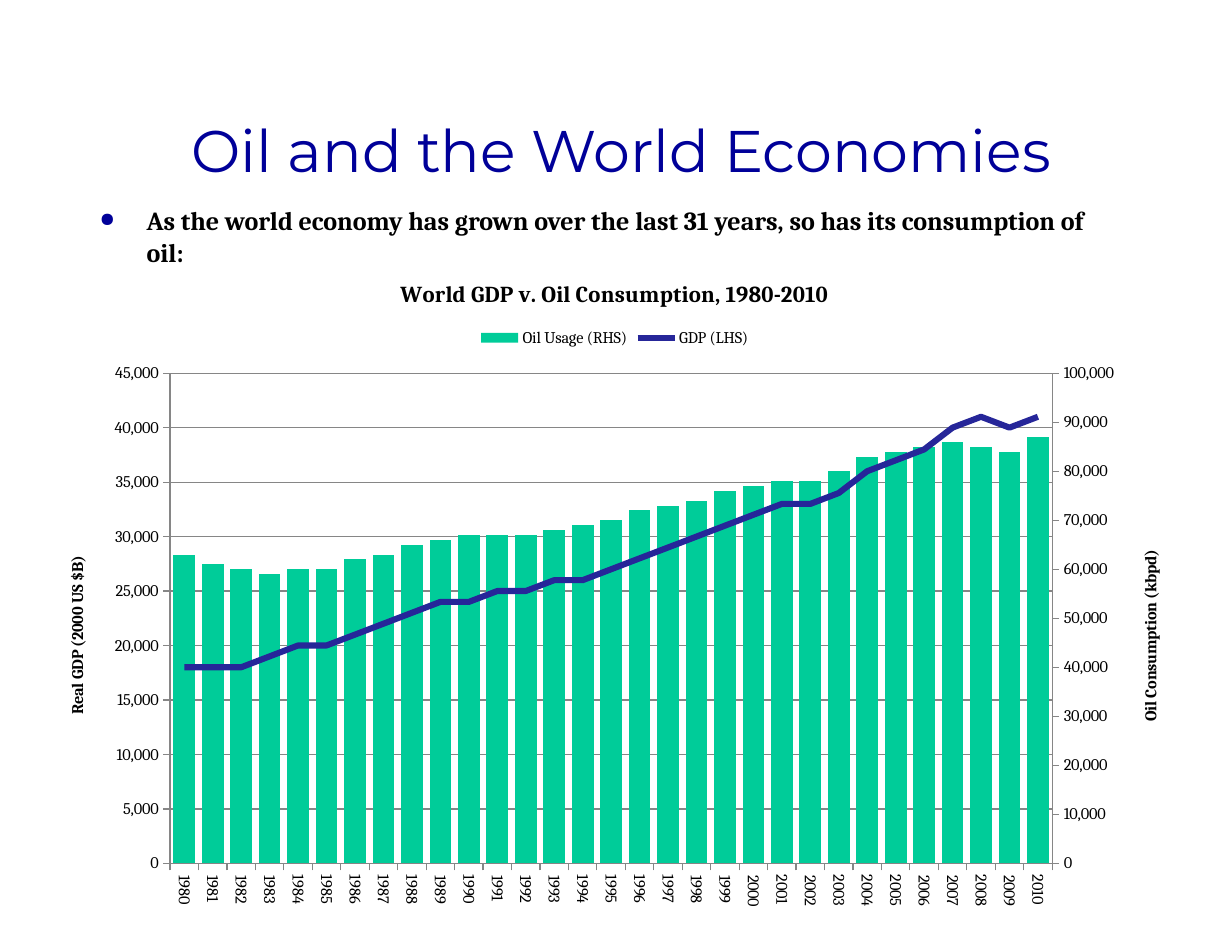
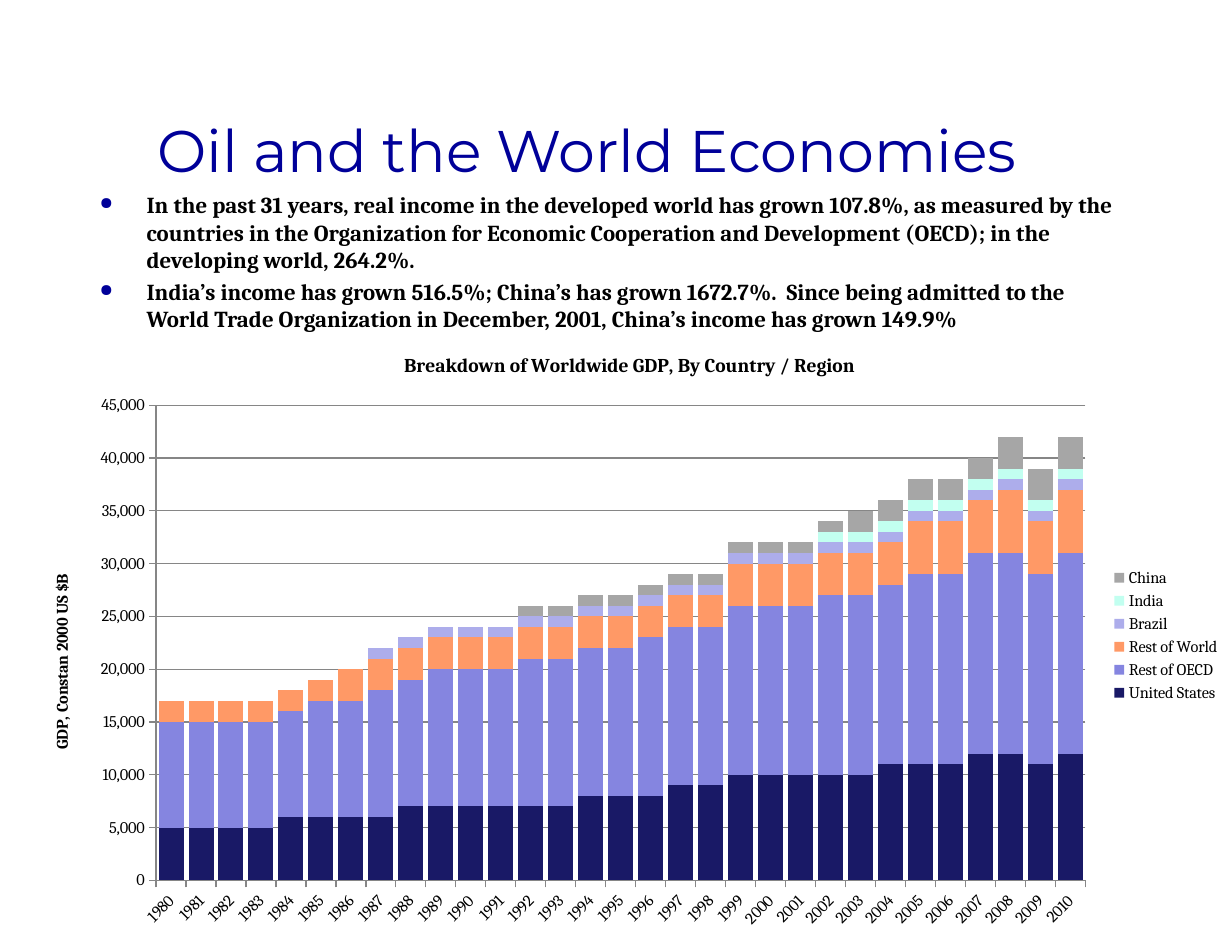
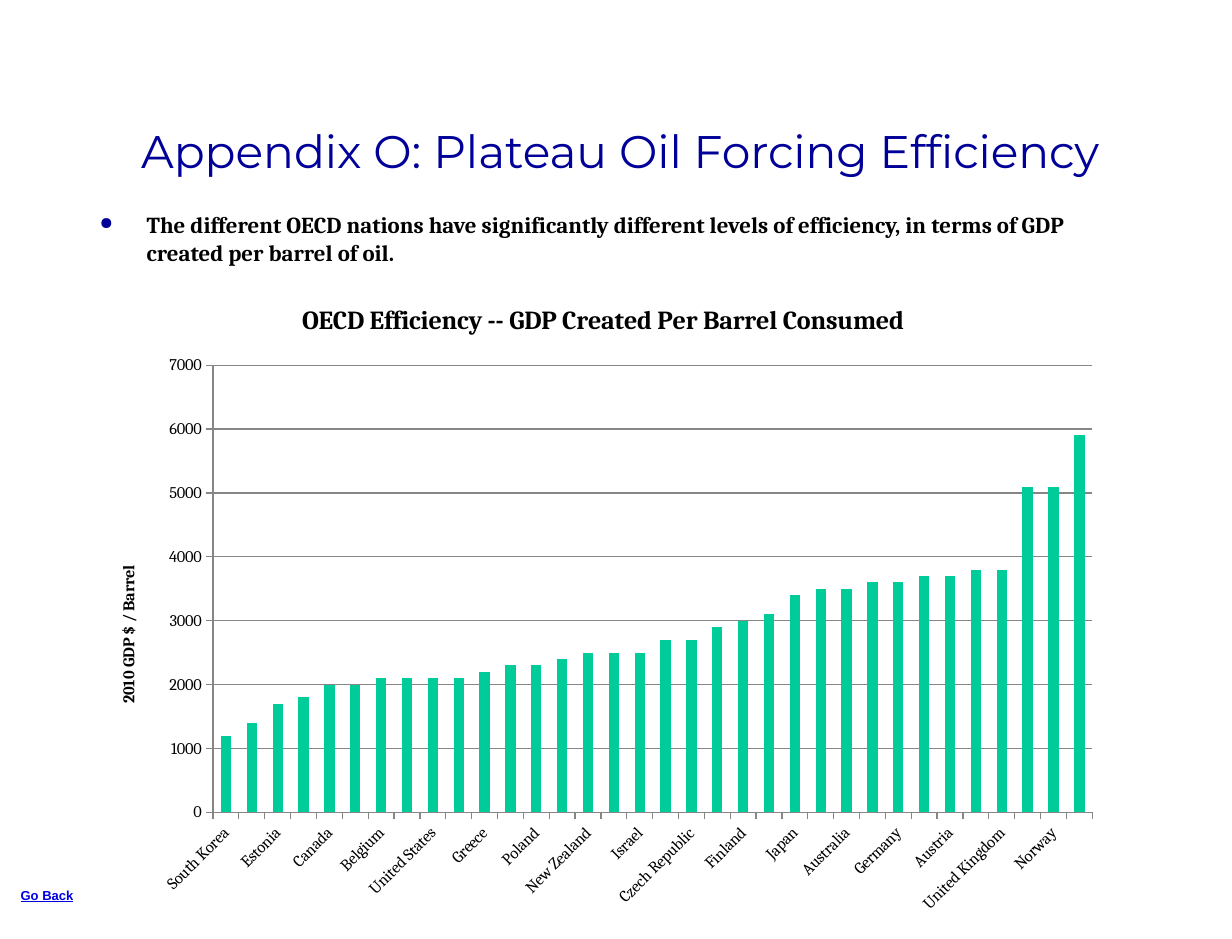
from copy import deepcopy

from lxml import etree
from pptx import Presentation
from pptx import util as u
from pptx.chart import axis as axes
from pptx.chart.data import CategoryChartData
from pptx.dml.color import RGBColor
from pptx.enum import chart as charts, shapes, text
from pptx.oxml import parse_xml
from pptx.oxml.ns import nsdecls, qn

PX = 914400 / 117.3
NAVY, BLACK, WHITE, GREY = "000099", "000000", "FFFFFF", "868686"
GREEN, INDIGO, LINK = "00CC99", "262699", "0000E5"
HEAD, BODY, PLAIN = "Montserrat", "Cambria", "Arial"
YEARS = [str(year) for year in range(1980, 2011)]

OIL = [63, 61, 60, 59, 60, 60, 62, 63, 65, 66, 67, 67, 67, 68, 69, 70,
       72, 73, 74, 76, 77, 78, 78, 80, 83, 84, 85, 86, 85, 84, 87]
GDP = [18, 18, 18, 19, 20, 20, 21, 22, 23, 24, 24, 25, 25, 26, 26, 27,
       28, 29, 30, 31, 32, 33, 33, 34, 36, 37, 38, 40, 41, 40, 41]
REGIONS = [
    ("United States", "191966",
     [5, 5, 5, 5, 6, 6, 6, 6, 7, 7, 7, 7, 7, 7, 8, 8,
      8, 9, 9, 10, 10, 10, 10, 10, 11, 11, 11, 12, 12, 11, 12]),
    ("Rest of OECD", "8585E0",
     [10, 10, 10, 10, 10, 11, 11, 12, 12, 13, 13, 13, 14, 14, 14, 14,
      15, 15, 15, 16, 16, 16, 17, 17, 17, 18, 18, 19, 19, 18, 19]),
    ("Rest of World", "FF9966",
     [2] * 6 + [3] * 13 + [4] * 6 + [5, 5, 5, 6, 5, 6]),
    ("Brazil", "ADADEB", [0] * 7 + [1] * 24),
    ("India", "C2FFF0", [0] * 22 + [1] * 9),
    ("China", "A6A6A6", [0] * 12 + [1] * 11 + [2] * 5 + [3] * 3),
]
NATIONS = {
    "South Korea": 12, "Mexico": 14, "Estonia": 17, "Chile": 18,
    "Canada": 20, "Iceland": 20, "Belgium": 21, "Slovenia": 21,
    "United States": 21, "Netherlands": 21, "Greece": 22, "Portugal": 23,
    "Poland": 23, "Hungary": 24, "New Zealand": 25, "Luxembourg": 25,
    "Israel": 25, "Spain": 27, "Czech Republic": 27, "Slovak Republic": 29,
    "Finland": 30, "Turkey": 31, "Japan": 34, "Ireland": 35,
    "Australia": 35, "Sweden": 36, "Germany": 36, "Italy": 37,
    "Austria": 37, "France": 38, "United Kingdom": 38, "Denmark": 51,
    "Norway": 51, "Switzerland": 59,
}


def px(*nums):
    return [u.Emu(round(n * PX)) for n in nums]


def rgb(code):
    return RGBColor.from_string(code)


def style(font, name, size, color, bold=False):
    font.name, font.size, font.bold = name, u.Pt(size), bold
    font.color.rgb = rgb(color)


def title(slide, words, left, wide, size=36):
    box = slide.shapes.add_shape(shapes.MSO_SHAPE.RECTANGLE,
                                 *px(left, 79, wide, 147))
    box.shadow.inherit = False
    box.fill.solid()
    box.fill.fore_color.rgb = rgb(WHITE)
    box.line.fill.background()
    box.text_frame.vertical_anchor = text.MSO_ANCHOR.MIDDLE
    para = box.text_frame.paragraphs[0]
    para.text = words
    para.alignment = text.PP_ALIGN.CENTER
    para.line_spacing = 0.95
    style(para.font, HEAD, size, NAVY)


def bullets(slide, lines, top, wide, high, size):
    frame = slide.shapes.add_textbox(*px(88, top, wide, high)).text_frame
    frame.word_wrap = True
    for i, line in enumerate(lines):
        para = frame.add_paragraph() if i else frame.paragraphs[0]
        para.text = line
        props = para._p.get_or_add_pPr()
        hang = px(47)[0]
        props.set("marL", str(hang))
        props.set("indent", str(-hang))
        color = etree.SubElement(props, qn("a:buClr"))
        etree.SubElement(color, qn("a:srgbClr")).set("val", NAVY)
        etree.SubElement(props, qn("a:buSzPct")).set("val", "75000")
        etree.SubElement(props, qn("a:buChar")).set("char", "●")
        para.space_before = u.Pt(size * 0.2 if i else 0)
        style(para.font, BODY, size, BLACK, True)


def turn(node, angle):
    """Rotate the text of a chart part by whole degrees."""
    body = next(node.iter(qn("a:bodyPr")))
    body.set("rot", str(angle * 60000))
    body.set("vert", "horz")


def label(part, words, size):
    para = part.text_frame.paragraphs[0]
    para.text = words
    style(para.font, BODY, size, BLACK, True)


def rule(line, color=GREY, size=0.75):
    line.color.rgb = rgb(color)
    line.width = u.Pt(size)


def scale(axis, words, top, step, form="#,##0", grid=True):
    """Set up a value axis."""
    axis.minimum_scale, axis.maximum_scale, axis.major_unit = 0, top, step
    axis.major_tick_mark = charts.XL_TICK_MARK.OUTSIDE
    axis.has_major_gridlines = grid
    if grid:
        rule(axis.major_gridlines.format.line)
    rule(axis.format.line)
    axis.tick_labels.number_format = form
    axis.tick_labels.number_format_is_linked = False
    label(axis.axis_title, words, 10)
    turn(axis.axis_title._element, -90)


def base(axis, angle):
    """Set up a category axis."""
    axis.major_tick_mark = charts.XL_TICK_MARK.OUTSIDE
    axis.has_major_gridlines = False
    rule(axis.format.line)
    axis.tick_labels.font.size = u.Pt(10)
    turn(axis._element.find(qn("c:txPr")), angle)


def place(chart, box, plot):
    """Fix the inner plot area, both boxes given as px on the slide."""
    area = chart._chartSpace.chart.plotArea
    for old in area.findall(qn("c:layout")):
        area.remove(old)
    parts = zip("xywh", ((plot[0] - box[0]) / box[2],
                         (plot[1] - box[1]) / box[3],
                         plot[2] / box[2], plot[3] / box[3]))
    spots = "".join(f'<c:{k} val="{v:.4f}"/>' for k, v in parts)
    area.insert(0, parse_xml(
        f'<c:layout {nsdecls("c")}><c:manualLayout>'
        '<c:layoutTarget val="inner"/><c:xMode val="edge"/>'
        f'<c:yMode val="edge"/>{spots}</c:manualLayout></c:layout>'))


def columns(slide, box, plot, words, size, cats, rows, gap,
            kind="CLUSTERED", legend=None, unit=1000):
    """Add a column chart; rows hold name, colour and values in units."""
    data = CategoryChartData()
    data.categories = cats
    for name, _, vals in rows:
        data.add_series(name, [v * unit for v in vals])
    chart = slide.shapes.add_chart(
        charts.XL_CHART_TYPE[f"COLUMN_{kind}"], *px(*box), data).chart
    style(chart.font, BODY, 10, BLACK)
    chart.has_title = True
    label(chart.chart_title, words, size)
    chart.has_legend = legend is not None
    if legend:
        chart.legend.position = charts.XL_LEGEND_POSITION[legend]
        chart.legend.include_in_layout = False
    bars = chart.plots[0]
    bars.gap_width, bars.vary_by_categories = gap, False
    if kind == "STACKED":
        bars.overlap = 100
    for series, row in zip(bars.series, rows):
        series.format.fill.solid()
        series.format.fill.fore_color.rgb = rgb(row[1])
    place(chart, box, plot)
    return chart


def split(chart, color):
    """Turn the last series into a line with its own axes.

    Return the category and value axes of the bars, then of the line.
    """
    area = chart._chartSpace.chart.plotArea
    bars = area.find(qn("c:barChart"))
    row = bars.findall(qn("c:ser"))[-1]
    for tag in ("c:invertIfNegative", "c:spPr"):
        for node in row.findall(qn(tag)):
            row.remove(node)
    line = parse_xml(
        f'<c:lineChart {nsdecls("c")}><c:grouping val="standard"/>'
        '<c:varyColors val="0"/><c:marker val="1"/>'
        '<c:axId val="501"/><c:axId val="502"/></c:lineChart>')
    line.insert(2, row)
    bars.addnext(line)

    # The line's axes come first, so that they carry the gridlines.
    cat, val = area.find(qn("c:catAx")), area.find(qn("c:valAx"))
    twins = deepcopy(cat), deepcopy(val)
    for twin, own, other in zip(twins, ("501", "502"), ("502", "501")):
        twin.find(qn("c:axId")).set("val", own)
        twin.find(qn("c:crossAx")).set("val", other)
        cat.addprevious(twin)
    val.find(qn("c:axPos")).set("val", "r")
    val.find(qn("c:crosses")).set("val", "max")

    series = chart.plots[1].series[0]
    series.smooth = False
    series.marker.style = charts.XL_MARKER_STYLE.NONE
    rule(series.format.line, color, 3.75)
    return (axes.CategoryAxis(cat), axes.ValueAxis(val),
            axes.CategoryAxis(twins[0]), axes.ValueAxis(twins[1]))


def growth(slide):
    title(slide, "Oil and the World Economies", 59, 1124)
    bullets(slide, ["As the world economy has grown over the last 31 years, "
                    "so has its consumption of oil:"], 199, 1046, 567, 16)
    chart = columns(slide, (42, 255, 1145, 666), (170, 373, 882, 490),
                    "World GDP v. Oil Consumption, 1980-2010", 14, YEARS,
                    [("Oil Usage (RHS)", GREEN, OIL),
                     ("GDP (LHS)", INDIGO, GDP)], 31, legend="TOP")
    hidden, oil, years, money = split(chart, INDIGO)
    hidden.has_major_gridlines = hidden.visible = False
    scale(oil, "Oil Consumption (kbpd)", 100000, 10000, grid=False)
    base(years, 90)
    scale(money, "Real GDP (2000 US $B)", 45000, 5000)


def regions(slide):
    title(slide, "Oil and the World Economies", 88, 997)
    bullets(slide, [
        "In the past 31 years, real income in the developed world has grown "
        "107.8%, as measured by the countries in the Organization for "
        "Economic Cooperation and Development (OECD); in the developing "
        "world, 264.2%.",
        "India’s income has grown 516.5%; China’s has grown 1672.7%.  Since "
        "being admitted to the World Trade Organization in December, 2001, "
        "China’s income has grown 149.9%"], 185, 1056, 567, 14)
    chart = columns(slide, (27, 331, 1205, 608), (156, 405, 929, 475),
                    "Breakdown of Worldwide GDP, By Country / Region", 12,
                    YEARS, REGIONS, 20, "STACKED", "RIGHT")
    base(chart.category_axis, -45)
    scale(chart.value_axis, "GDP, Constan 2000 US $B", 45000, 5000)


def nations(slide):
    title(slide, "Appendix O: Plateau Oil Forcing Efficiency", 29, 1182, 28)
    bullets(slide, ["The different OECD nations have significantly different "
                    "levels of efficiency, in terms of GDP created per "
                    "barrel of oil."], 205, 997, 577, 14)
    chart = columns(slide, (94, 279, 1018, 646), (213, 365, 879, 447),
                    "OECD Efficiency -- GDP Created Per Barrel Consumed", 16,
                    list(NATIONS), [("Series 1", GREEN, NATIONS.values())],
                    150, unit=100)
    base(chart.category_axis, -45)
    scale(chart.value_axis, "2010 GDP $ / Barrel", 7000, 1000, "General")

    frame = slide.shapes.add_textbox(*px(9, 881, 167, 28)).text_frame
    frame.word_wrap = True
    frame.auto_size = text.MSO_AUTO_SIZE.SHAPE_TO_FIT_TEXT
    para = frame.paragraphs[0]
    para.text = "Go Back"
    style(para.font, PLAIN, 8, LINK, True)
    para.font.underline = True


def main():
    deck = Presentation()
    deck.slide_width, deck.slide_height = u.Inches(10.5), u.Inches(8)
    for build in (growth, regions, nations):
        build(deck.slides.add_slide(deck.slide_layouts[6]))
    deck.save("out.pptx")


if __name__ == "__main__":
    main()
